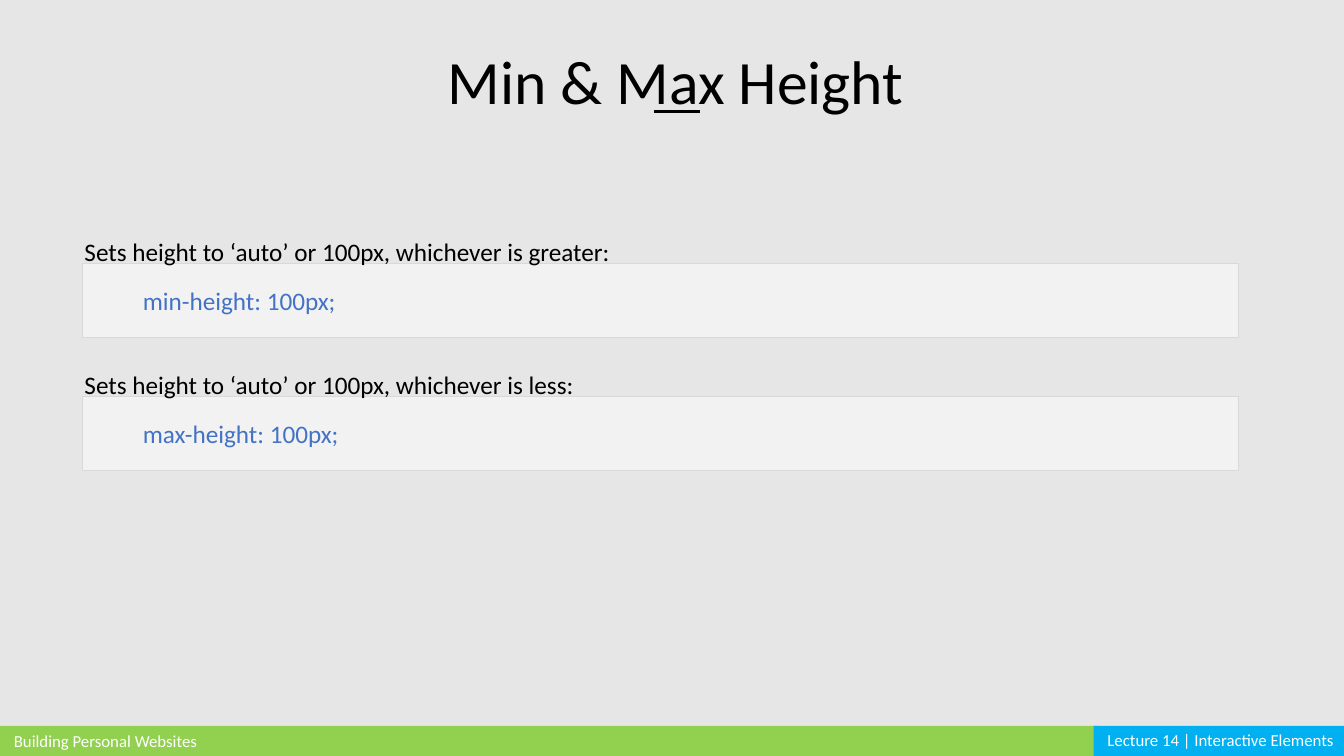
import pptx
import pptx.util
import pptx.dml.color
import pptx.enum.shapes
import pptx.enum.text
import pptx.oxml.xmlchemy

Cm, Pt = pptx.util.Cm, pptx.util.Pt
ALIGN = pptx.enum.text.PP_ALIGN
ANCHOR = pptx.enum.text.MSO_ANCHOR
AUTO_SIZE = pptx.enum.text.MSO_AUTO_SIZE

FONT = "Calibri"
BLACK, WHITE = "000000", "FFFFFF"
FOOTER_TOP, FOOTER_HEIGHT = 18.29, 0.76
EXAMPLE_TOP, EXAMPLE_STEP = 6.63, 3.35
EXAMPLES = [
    ("Sets height to ‘auto’ or 100px, whichever is greater:", 13.92, "min-height: 100px;"),
    ("Sets height to ‘auto’ or 100px, whichever is less:", 13, "max-height: 100px;"),
]


def rgb(hex_code):
    return pptx.dml.color.RGBColor.from_string(hex_code)


def write(shape, text, size, color, align=ALIGN.LEFT, spacing=None):
    paragraph = shape.text_frame.paragraphs[0]
    paragraph.text = text
    paragraph.alignment = align
    paragraph.line_spacing = spacing
    paragraph.font.name = FONT
    paragraph.font.size = Pt(size)
    paragraph.font.color.rgb = rgb(color)
    return paragraph


def add_title(slide, text):
    title = slide.shapes.title
    title.left, title.top, title.width, title.height = Cm(9.65), Cm(0.03), Cm(14.76), Cm(2.79)
    title.text_frame.auto_size = AUTO_SIZE.NONE
    title.text_frame.vertical_anchor = ANCHOR.TOP
    write(title, text, 44, BLACK, ALIGN.CENTER, 1.5)


def add_rule(slide, left, right, top):
    rule = slide.shapes.add_connector(
        pptx.enum.shapes.MSO_CONNECTOR.STRAIGHT, Cm(left), Cm(top), Cm(right), Cm(top))
    rule.line.color.rgb = rgb(BLACK)
    rule.line.width = Pt(2.25)
    rule._element.spPr.append(pptx.oxml.xmlchemy.OxmlElement("a:effectLst"))


def add_box(slide, left, top, width, height, fill, outline=None):
    box = slide.shapes.add_shape(
        pptx.enum.shapes.MSO_SHAPE.RECTANGLE, Cm(left), Cm(top), Cm(width), Cm(height))
    box.shadow.inherit = False
    box.fill.solid()
    box.fill.fore_color.rgb = rgb(fill)
    if outline:
        box.line.color.rgb = rgb(outline)
        box.line.width = Pt(0.25)
    else:
        box.line.fill.background()
    return box


def add_label(slide, left, top, width, height, text, size, color, wrap=True, spacing=None):
    label = slide.shapes.add_textbox(Cm(left), Cm(top), Cm(width), Cm(height))
    label.text_frame.word_wrap = wrap
    label.text_frame.auto_size = AUTO_SIZE.SHAPE_TO_FIT_TEXT
    write(label, text, size, color, spacing=spacing)


def add_example(slide, top, caption, caption_width, code):
    code_box = add_box(slide, 2.08, top, 29.13, 1.88, "F2F2F2", "D9D9D9")
    code_box.text_frame.vertical_anchor = ANCHOR.MIDDLE
    code_line = write(code_box, code, 18, "4472C4")
    code_line.level = 1
    indent = code_line._p.get_or_add_pPr()
    indent.set("marL", str(int(Cm(1.27))))
    indent.set("indent", "0")
    add_label(slide, 1.88, top - 1.19, caption_width, 1.3, caption, 18, BLACK,
              wrap=False, spacing=1.5)


def add_footer(slide):
    add_box(slide, 0, FOOTER_TOP, 27.71, FOOTER_HEIGHT, "92D050")
    add_label(slide, 0.1, FOOTER_TOP, 7.44, FOOTER_HEIGHT,
              "Building Personal Websites", 12, WHITE)
    add_box(slide, 27.56, FOOTER_TOP, 6.31, FOOTER_HEIGHT, "00B0F0")
    add_label(slide, 27.66, FOOTER_TOP - 0.03, 7.44, FOOTER_HEIGHT,
              "Lecture 14 | Interactive Elements", 12, WHITE)


def main():
    deck = pptx.Presentation()
    deck.slide_width, deck.slide_height = Cm(33.87), Cm(19.05)
    slide = deck.slides.add_slide(deck.slide_layouts[5])
    slide.background.fill.solid()
    slide.background.fill.fore_color.rgb = rgb("E7E6E6")

    # Footer band, then heading
    add_footer(slide)
    add_title(slide, "Min & Max Height")
    add_rule(slide, 16.48, 17.63, 2.82)

    # Captioned code examples
    for row, (caption, caption_width, code) in enumerate(EXAMPLES):
        add_example(slide, EXAMPLE_TOP + row * EXAMPLE_STEP, caption, caption_width, code)

    deck.save("out.pptx")


main()
